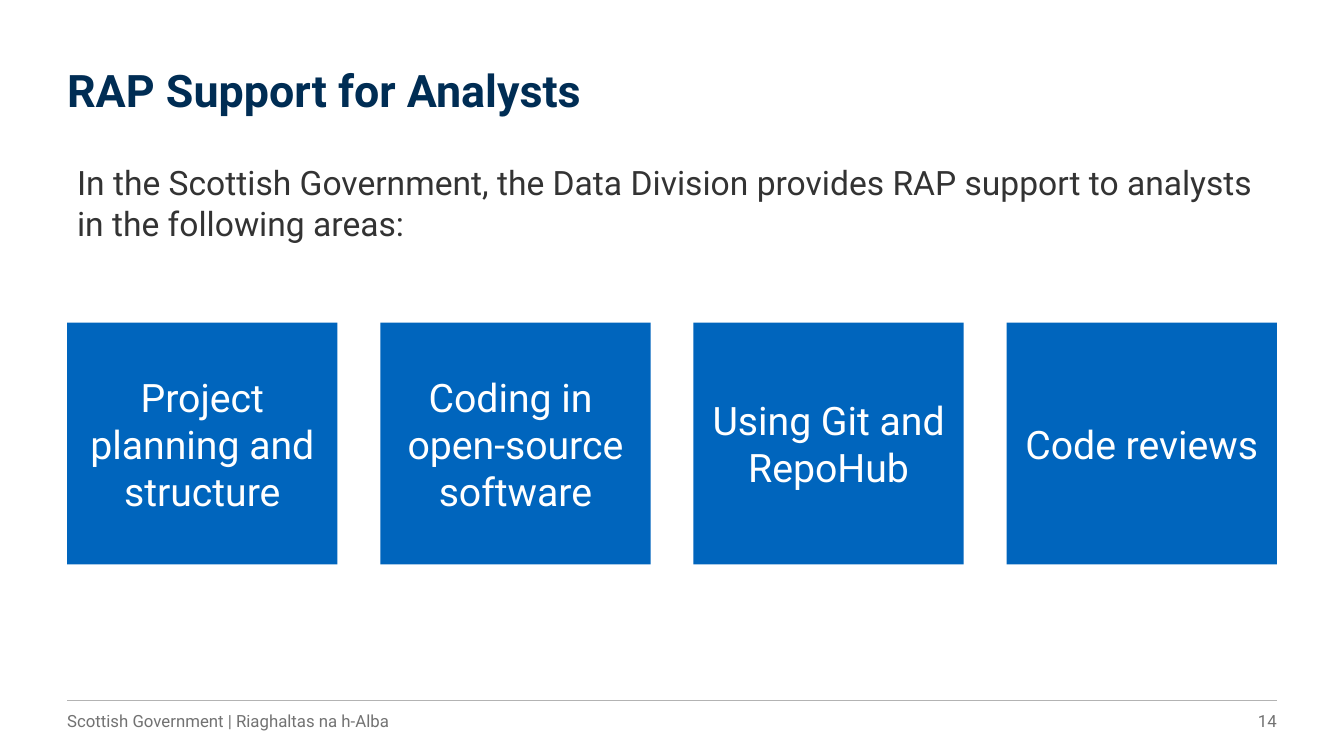
from dataclasses import dataclass

from lxml import etree
from pptx import Presentation
from pptx.dml.color import RGBColor
from pptx.enum.shapes import MSO_CONNECTOR, MSO_SHAPE
from pptx.enum.text import MSO_ANCHOR, PP_ALIGN
from pptx.oxml.ns import qn
from pptx.shapes.autoshape import Shape
from pptx.slide import Slide
from pptx.util import Pt

LEFT, CENTER, RIGHT = PP_ALIGN.LEFT, PP_ALIGN.CENTER, PP_ALIGN.RIGHT
TOP, MIDDLE = MSO_ANCHOR.TOP, MSO_ANCHOR.MIDDLE
RECTANGLE, STRAIGHT = MSO_SHAPE.RECTANGLE, MSO_CONNECTOR.STRAIGHT

FONT = "Roboto"
NAVY, BLUE, WHITE = "002D54", "0065BD", "FFFFFF"
DARK_GREY, MID_GREY, RULE_GREY = "333333", "727272", "B3B3B3"

MARGIN, CONTENT_WIDTH = 48, 864
FOOTER_TOP, FOOTER_HEIGHT = 500.4, 28.8
TILE_TOP, TILE_WIDTH, TILE_HEIGHT = 230.4, 193, 172.8

SUPPORT_AREAS = [
    "Project planning and structure",
    "Coding in \nopen-source software",
    "Using Git and RepoHub",
    "Code reviews",
]


@dataclass(frozen=True)
class TextStyle:
    size: float
    color: str
    bold: bool = False
    align: PP_ALIGN = LEFT
    anchor: MSO_ANCHOR = TOP
    insets: tuple[float, float, float, float] = (0, 0, 0, 0)
    line_spacing: float = 1.0


@dataclass(frozen=True)
class TextBlock:
    text: str
    left: float
    top: float
    width: float
    height: float
    style: TextStyle


TILE_STYLE = TextStyle(28, WHITE, align=CENTER, anchor=MIDDLE)

TEXT_BLOCKS = [
    TextBlock("RAP Support for Analysts", MARGIN, 49, CONTENT_WIDTH, 34.56,
              TextStyle(32, NAVY, bold=True, line_spacing=0.9)),
    TextBlock("In the Scottish Government, the Data Division provides RAP support "
              "to analysts in the following areas:",
              MARGIN, 112.3, CONTENT_WIDTH, 68.4,
              TextStyle(24, DARK_GREY, insets=(7.2, 3.6, 7.2, 3.6))),
    TextBlock("Scottish Government | Riaghaltas na h-Alba",
              MARGIN, FOOTER_TOP, 715, FOOTER_HEIGHT,
              TextStyle(12, MID_GREY, anchor=MIDDLE, insets=(0, 3.6, 7.2, 3.6))),
    TextBlock("14", 794.6, FOOTER_TOP, 117.4, FOOTER_HEIGHT,
              TextStyle(12, MID_GREY, align=RIGHT, anchor=MIDDLE,
                        insets=(7.2, 3.6, 0, 3.6))),
]


def rgb(color: str) -> RGBColor:
    return RGBColor.from_string(color)


def write_text(shape: Shape, text: str, style: TextStyle) -> None:
    frame = shape.text_frame
    frame.text = text
    frame.word_wrap = True
    frame.vertical_anchor = style.anchor
    (frame.margin_left, frame.margin_top,
     frame.margin_right, frame.margin_bottom) = map(Pt, style.insets)
    for paragraph in frame.paragraphs:
        paragraph.alignment = style.align
        paragraph.line_spacing = style.line_spacing
        for run in paragraph.runs:
            run.font.name = FONT
            run.font.size = Pt(style.size)
            run.font.bold = style.bold
            run.font.color.rgb = rgb(style.color)


def add_text_block(slide: Slide, block: TextBlock) -> None:
    box = slide.shapes.add_textbox(
        Pt(block.left), Pt(block.top), Pt(block.width), Pt(block.height))
    write_text(box, block.text, block.style)


def add_tile(slide: Slide, left: float, text: str) -> None:
    tile = slide.shapes.add_shape(
        RECTANGLE, Pt(left), Pt(TILE_TOP), Pt(TILE_WIDTH), Pt(TILE_HEIGHT))
    tile.shadow.inherit = False
    tile.fill.solid()
    tile.fill.fore_color.rgb = rgb(BLUE)
    tile.line.fill.background()
    write_text(tile, text, TILE_STYLE)


def add_footer_rule(slide: Slide) -> None:
    rule = slide.shapes.add_connector(
        STRAIGHT, Pt(MARGIN), Pt(FOOTER_TOP),
        Pt(MARGIN + CONTENT_WIDTH), Pt(FOOTER_TOP))
    rule.line.color.rgb = rgb(RULE_GREY)
    rule.line.width = Pt(0.75)
    etree.SubElement(rule._element.spPr, qn("a:effectLst"))


def main() -> None:
    presentation = Presentation()
    presentation.slide_width, presentation.slide_height = Pt(960), Pt(540)
    slide = presentation.slides.add_slide(presentation.slide_layouts[6])

    add_footer_rule(slide)
    for block in TEXT_BLOCKS:
        add_text_block(slide, block)

    pitch = (CONTENT_WIDTH - TILE_WIDTH) / (len(SUPPORT_AREAS) - 1)
    for index, area in enumerate(SUPPORT_AREAS):
        add_tile(slide, MARGIN + index * pitch, area)

    presentation.save("out.pptx")


if __name__ == "__main__":
    main()
